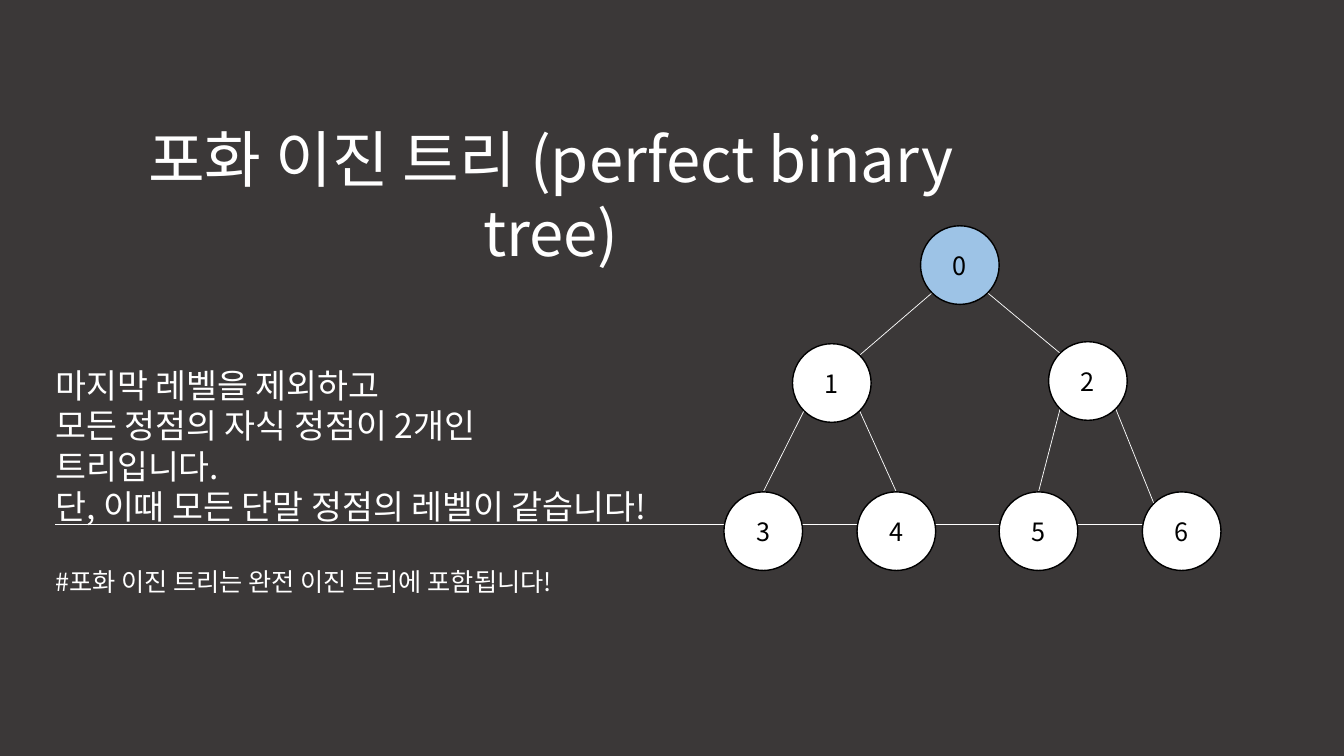
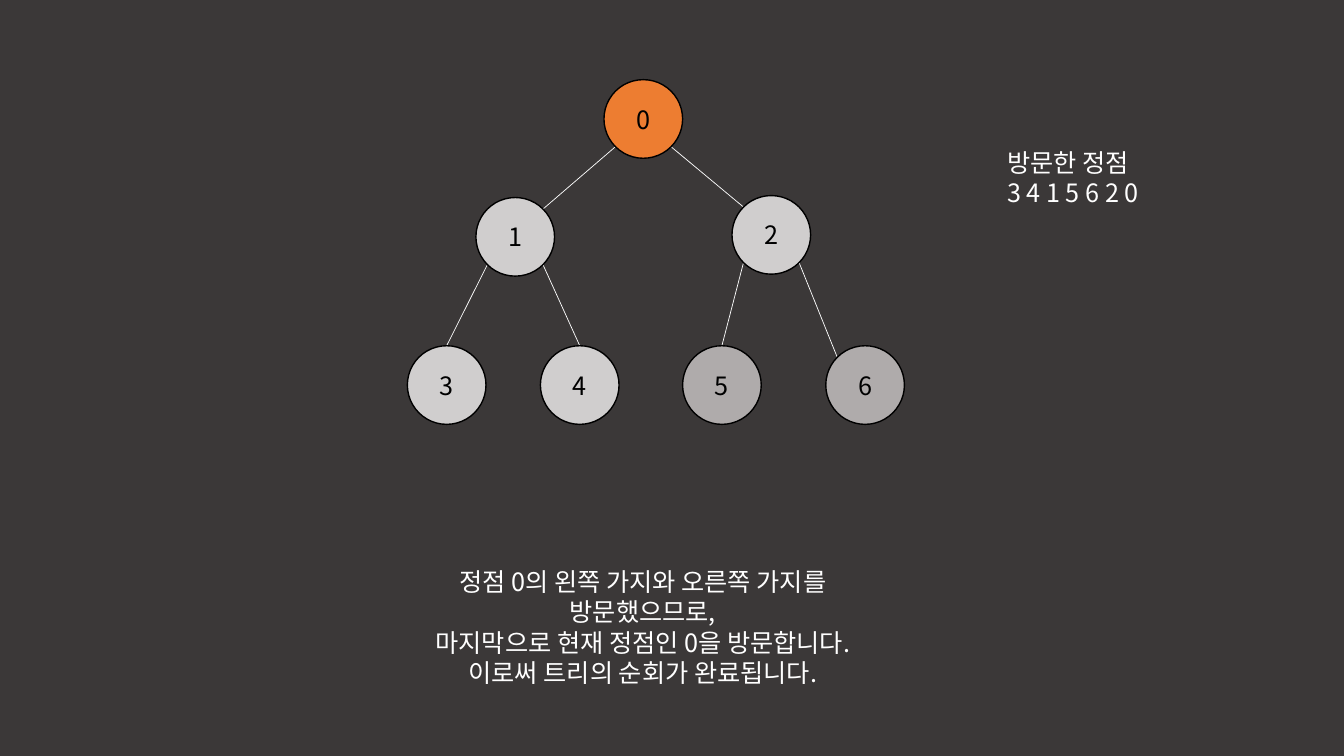
from pptx import Presentation
from pptx import util as u
from pptx.dml.color import RGBColor
from pptx.enum import shapes, text
from pptx.oxml import parse_xml
from pptx.oxml.ns import nsdecls, qn

# Theme
THEME = {
    "font": "Noto Sans CJK KR",
    "back": "3B3838", "text": "FFFFFF", "ink": "000000",
    "blue": "9DC3E6", "white": "FFFFFF", "orange": "ED7D31",
    "light": "D0CECE", "grey": "AFABAB",
    "title": 44, "body": 24, "note": 18,
    "edge": 0.5, "rim": 1,
}

# Tree: node places relative to the root, and edges (parent, side, child, site)
SIZE = 0.78
NODES = [(0, 0), (-1.27, 1.17), (1.27, 1.15),
         (-1.95, 2.64), (-0.63, 2.64), (0.78, 2.64), (2.2, 2.64)]
EDGES = [(0, "bl", 1, "tr"), (0, "br", 2, "tl"),
         (1, "bl", 3, "t"), (1, "br", 4, "t"),
         (2, "bl", 5, "t"), (2, "br", 6, "tl")]
DIAG = 0.5 ** 0.5
SITES = {"t": (0, -1), "tl": (-DIAG, -DIAG), "tr": (DIAG, -DIAG),
         "bl": (-DIAG, DIAG), "br": (DIAG, DIAG)}

# Content: text boxes hold (text, size, extra formats) lines
SLIDES = [
    {"root": (9.13, 2.24), "fills": ["blue"] + ["white"] * 6,
     "boxes": [
         ((0.74, 1.15, 9.45, 0.84), "CENTER",
          [("포화 이진 트리 (perfect binary tree)", "title", {})]),
         ((0.45, 3.57, 5.96, 2.46), "LEFT",
          [("마지막 레벨을 제외하고", "body", {}),
           ("모든 정점의 자식 정점이 2개인 트리입니다.", "body", {}),
           ("단, 이때 모든 단말 정점의 레벨이 같습니다!", "body",
            {"underline": True}),
           ("#포화 이진 트리는 완전 이진 트리에 포함됩니다!", "note",
            {"before": 29})])]},
    {"root": (5.99, 0.79),
     "fills": ["orange"] + ["light"] * 4 + ["grey"] * 2,
     "boxes": [
         ((3.74, 5.57, 5.27, 1.01), "CENTER",
          [("정점 0의 왼쪽 가지와 오른쪽 가지를 방문했으므로,", "note", {}),
           ("마지막으로 현재 정점인 0을 방문합니다.", "note", {}),
           ("이로써 트리의 순회가 완료됩니다.", "note", {})]),
         ((9.89, 1.41, 1.64, 1.31), "LEFT",
          [("방문한 정점", "note", {}), ("3 4 1 5 6 2 0", "note", {})])]},
]


def tint(name):
    return RGBColor.from_string(THEME[name])


def inches(*vals):
    return [u.Inches(v) for v in vals]


def write(para, words, size, color, align, extra):
    """Fill one paragraph with one styled run."""
    para.alignment = getattr(text.PP_ALIGN, align)
    if "before" in extra:
        para.space_before = u.Pt(extra["before"])
    run = para.add_run()
    run.text = words
    style = {"name": THEME["font"], "size": u.Pt(THEME[size]),
             "underline": extra.get("underline")}
    for key, val in style.items():
        setattr(run.font, key, val)
    run.font.color.rgb = tint(color)
    east = parse_xml(f'<a:ea {nsdecls("a")} typeface="{THEME["font"]}"/>')
    run.font._element.find(qn("a:latin")).addnext(east)


def add_box(slide, place, align, lines):
    frame = slide.shapes.add_textbox(*inches(*place)).text_frame
    frame.word_wrap = True
    frame.auto_size = text.MSO_AUTO_SIZE.SHAPE_TO_FIT_TEXT
    for i, (words, size, extra) in enumerate(lines):
        para = frame.add_paragraph() if i else frame.paragraphs[0]
        write(para, words, size, "text", align, extra)


def add_edge(slide, start, end):
    line = slide.shapes.add_connector(
        shapes.MSO_CONNECTOR.STRAIGHT, *inches(*start, *end))
    line.line.color.rgb = tint("text")
    line.line.width = u.Pt(THEME["edge"])
    line._element.spPr.append(parse_xml(f'<a:effectLst {nsdecls("a")}/>'))


def add_node(slide, label, place, fill):
    node = slide.shapes.add_shape(
        shapes.MSO_SHAPE.OVAL, *inches(*place, SIZE, SIZE))
    node.shadow.inherit = False
    node.fill.solid()
    node.fill.fore_color.rgb = tint(fill)
    node.line.color.rgb = tint("ink")
    node.line.width = u.Pt(THEME["rim"])
    node.text_frame.vertical_anchor = text.MSO_ANCHOR.MIDDLE
    write(node.text_frame.paragraphs[0], label, "note", "ink", "CENTER", {})


def add_tree(slide, root, fills):
    spots = [(root[0] + x, root[1] + y) for x, y in NODES]

    def site(node, side):
        return [p + SIZE / 2 * (1 + d)
                for p, d in zip(spots[node], SITES[side])]

    for top, side, child, end in EDGES:
        add_edge(slide, site(top, side), site(child, end))
    for i, (spot, fill) in enumerate(zip(spots, fills)):
        add_node(slide, str(i), spot, fill)


def main():
    deck = Presentation()
    deck.slide_width, deck.slide_height = inches(13.33, 7.5)
    # Shared background
    back = deck.slide_master.background.fill
    back.solid()
    back.fore_color.rgb = tint("back")
    for page in SLIDES:
        slide = deck.slides.add_slide(deck.slide_layouts[6])
        for box in page["boxes"]:
            add_box(slide, *box)
        add_tree(slide, page["root"], page["fills"])
    deck.save("out.pptx")


if __name__ == "__main__":
    main()
